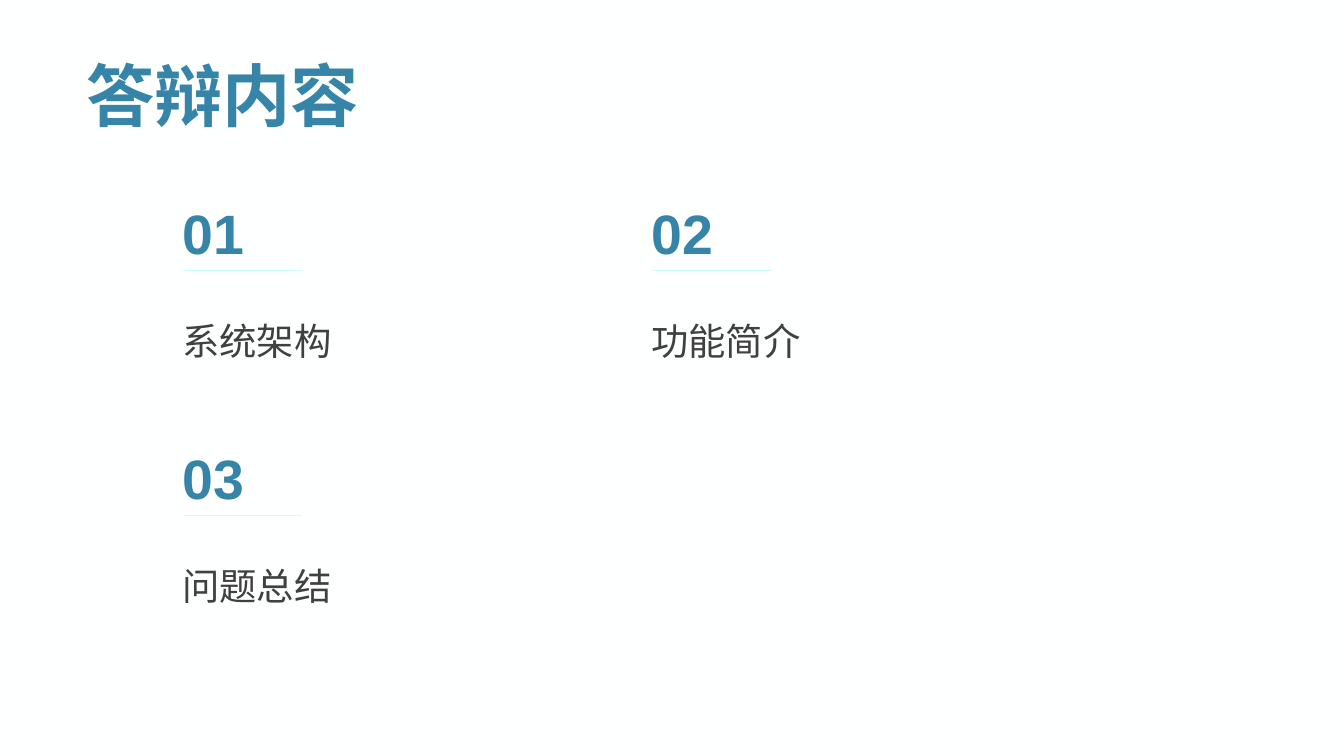
from lxml.etree import SubElement
from pptx import Presentation
from pptx.dml.color import RGBColor
from pptx.enum.shapes import MSO_CONNECTOR
from pptx.enum.text import MSO_ANCHOR, MSO_AUTO_SIZE, PP_ALIGN
from pptx.oxml.ns import qn
from pptx.util import Pt

EMU_PER_PX = 914400 / 134.4


def px(length):
    return round(length * EMU_PER_PX)


def color(value):
    return RGBColor.from_string(value)


def write_text(shape, text, size, fill, bold=False, align=PP_ALIGN.LEFT,
               anchor=MSO_ANCHOR.TOP, line_spacing=1.0, space_after=0, font="Arial"):
    frame = shape.text_frame
    frame.word_wrap = True
    frame.auto_size = MSO_AUTO_SIZE.NONE
    frame.vertical_anchor = anchor
    paragraph = frame.paragraphs[0]
    paragraph.alignment = align
    paragraph.line_spacing = line_spacing
    paragraph.space_before = Pt(0)
    paragraph.space_after = Pt(space_after)
    run = paragraph.add_run()
    run.text = text
    run.font.name = font
    run.font.size = Pt(size)
    run.font.bold = bold
    run.font.color.rgb = color(fill)


class AgendaSlide:
    """Holds the style and the current slide, and draws its elements."""

    accent = "3684A8"
    ink = "404040"
    rule = "CBFFFF"
    background = "FEFFFF"

    def __init__(self, presentation):
        self.slide = presentation.slides.add_slide(presentation.slide_layouts[5])
        fill = self.slide.background.fill
        fill.solid()
        fill.fore_color.rgb = color(self.background)

    def title(self, text, left, top, width, height):
        shape = self.slide.shapes.title
        shape.left, shape.top = px(left), px(top)
        shape.width, shape.height = px(width), px(height)
        write_text(shape, text, 36.5, self.accent, bold=True, anchor=MSO_ANCHOR.MIDDLE)

    def text(self, group, text, left, top, width, height, **style):
        shape = group.shapes.add_textbox(px(left), px(top), px(width), px(height))
        write_text(shape, text, **style)

    def line(self, group, left, right, y):
        connector = group.shapes.add_connector(
            MSO_CONNECTOR.STRAIGHT, px(left), px(y), px(right), px(y))
        connector.line.color.rgb = color(self.rule)
        connector.line.width = Pt(0.5)
        SubElement(connector._element.spPr, qn("a:effectLst"))

    def item(self, number, label, left, top):
        group = self.slide.shapes.add_group_shape()
        self.text(group, label, left, top + 99, 357, 110, size=20, fill=self.ink,
                  align=PP_ALIGN.JUSTIFY, line_spacing=1.5, space_after=20)
        self.text(group, f"{number:02}", left, top, 90, 85, size=29.7, fill=self.accent,
                  bold=True, anchor=MSO_ANCHOR.MIDDLE)
        self.line(group, left + 15, left + 133, top + 81)


def main():
    presentation = Presentation()
    presentation.slide_width, presentation.slide_height = px(1344), px(756)
    agenda = AgendaSlide(presentation)
    agenda.title("答辩内容", 73, 43, 435, 102)
    for index, label in enumerate(["系统架构", "功能简介", "问题总结"]):
        row, column = divmod(index, 2)
        agenda.item(index + 1, label, 169 + 469 * column, 190 + 245 * row)
    presentation.save("out.pptx")


if __name__ == "__main__":
    main()
